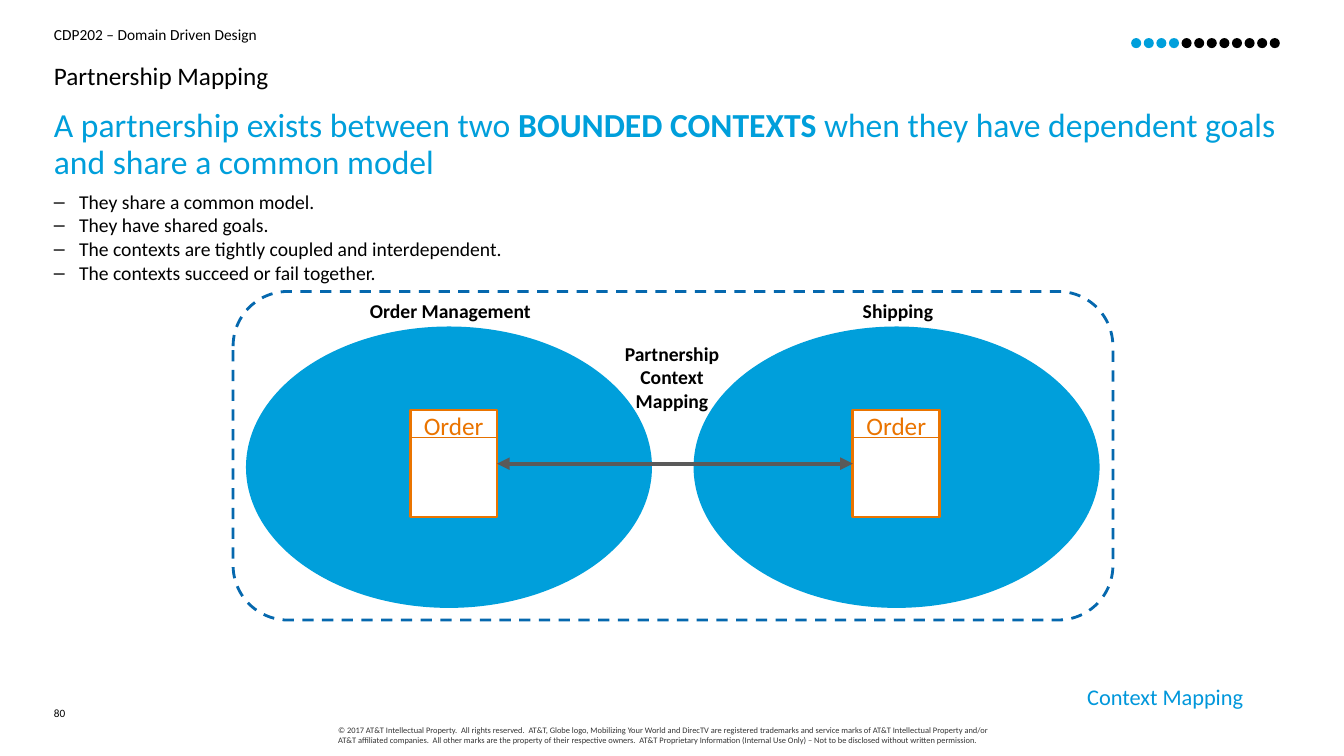
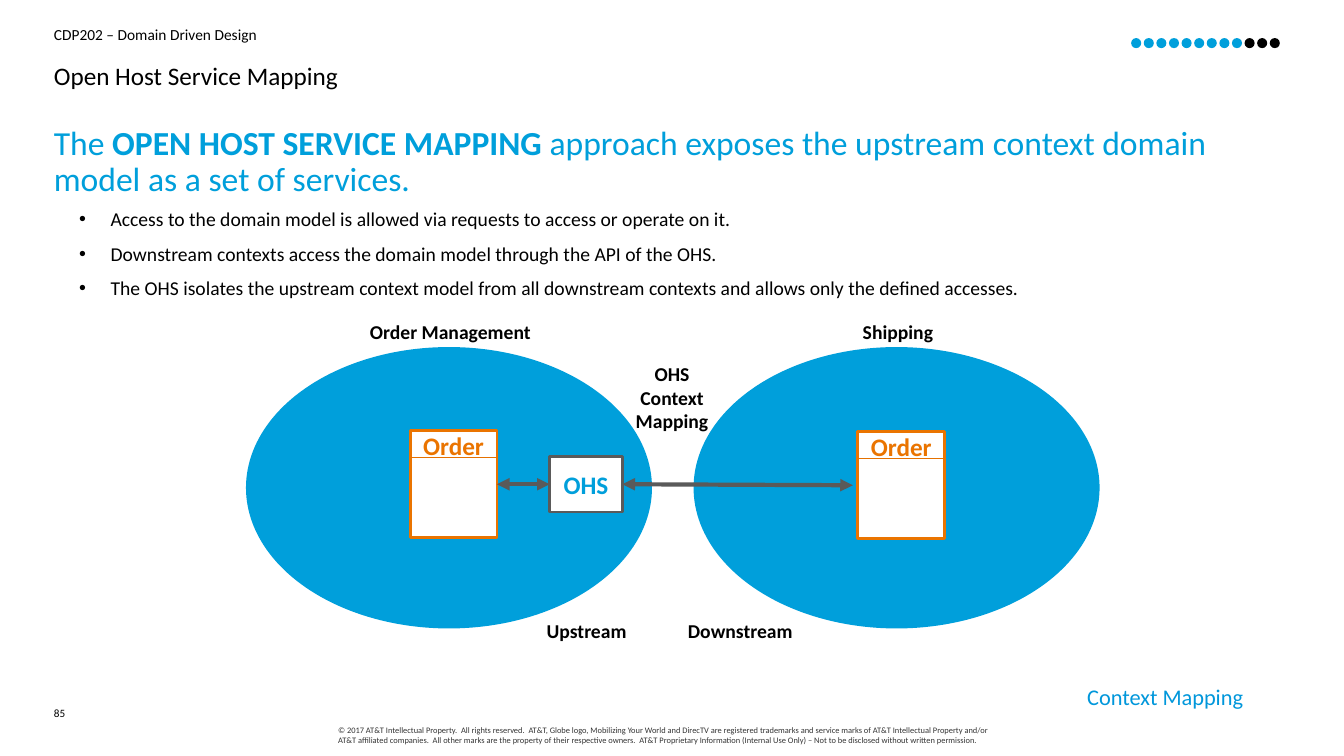
import dataclasses

import pptx
import pptx.dml.color
import pptx.enum.dml
import pptx.enum.shapes
import pptx.enum.text
import pptx.oxml
import pptx.oxml.ns
import pptx.util

Pt = pptx.util.Pt
SHAPE = pptx.enum.shapes.MSO_SHAPE
ALIGN = pptx.enum.text.PP_ALIGN
ANCHOR = pptx.enum.text.MSO_ANCHOR


@dataclasses.dataclass(frozen=True)
class Theme:
    font: str = "Calibri"
    black: str = "000000"
    white: str = "FFFFFF"
    blue: str = "009FDB"
    section_blue: str = "0097DB"
    border_blue: str = "0568AE"
    orange: str = "EA7400"
    divider_orange: str = "E57100"
    grey: str = "5A5A5A"
    legal_grey: str = "343434"
    headline_size: float = 24
    title_size: float = 18
    section_size: float = 16
    body_size: float = 14
    header_size: float = 11
    number_size: float = 8
    legal_size: float = 6


THEME = Theme()
LEFT_MARGIN = 38.5
TEXT_WIDTH = 882.7
DOT_COUNT = 12
CONTEXT_LEFTS = (175.7, 495.4)
CONTEXT_SIZE = (290, 201)
ORDER_LEFTS = (293, 609.2)
ORDER_SIZE = (62, 76.4)
ORDER_DROP = 59.7
ARROW_DROP = 98
ARROW_START = ORDER_LEFTS[0] + ORDER_SIZE[0]
COURSE = "CDP202 – Domain Driven Design"
SECTION = "Context Mapping"
LEGAL = (
    "© 2017 AT&T Intellectual Property.  All rights reserved.  AT&T, Globe logo, "
    "Mobilizing Your World and DirecTV are registered trademarks and service marks of "
    "AT&T Intellectual Property and/or AT&T affiliated companies.  All other marks are "
    "the property of their respective owners.  AT&T Proprietary Information (Internal "
    "Use Only) – Not to be disclosed without written permission."
)


def rgb(color):
    return pptx.dml.color.RGBColor.from_string(color)


def add_span(para, text, size, color, bold=False):
    span = para.add_run()
    span.text = text
    span.font.name = THEME.font
    span.font.size = Pt(size)
    span.font.bold = bold
    span.font.color.rgb = rgb(color)


def prepare_frame(frame, inset=0, anchor=ANCHOR.TOP):
    frame.word_wrap = True
    frame.auto_size = pptx.enum.text.MSO_AUTO_SIZE.NONE
    frame.vertical_anchor = anchor
    frame.margin_left = frame.margin_right = Pt(inset)
    frame.margin_top = frame.margin_bottom = Pt(inset / 2)


def add_text_box(page, left, top, width, height, inset=0):
    box = page.shapes.add_textbox(Pt(left), Pt(top), Pt(width), Pt(height))
    prepare_frame(box.text_frame, inset)
    return box.text_frame


def add_line_of_text(page, left, top, width, height, text, size, color,
                     align=ALIGN.LEFT, inset=0):
    para = add_text_box(page, left, top, width, height, inset).paragraphs[0]
    para.alignment = align
    add_span(para, text, size, color)
    return para


def add_label(page, center, top, lines, width=140):
    frame = add_text_box(page, center - width / 2, top, width, 17 * len(lines))
    for index, line in enumerate(lines):
        para = frame.add_paragraph() if index else frame.paragraphs[0]
        para.alignment = ALIGN.CENTER
        add_span(para, line, THEME.body_size, THEME.black, bold=True)


def add_figure(shapes, kind, left, top, width, height, fill, line=None):
    figure = shapes.add_shape(kind, Pt(left), Pt(top), Pt(width), Pt(height))
    figure.shadow.inherit = False
    figure.fill.solid()
    figure.fill.fore_color.rgb = rgb(fill)
    if line:
        figure.line.color.rgb = rgb(line)
        figure.line.width = Pt(2)
    else:
        figure.line.fill.background()
    return figure


def add_box(shapes, left, top, width, height, line, text, text_color, bold,
            anchor=ANCHOR.TOP):
    box = add_figure(shapes, SHAPE.RECTANGLE, left, top, width, height, THEME.white, line)
    prepare_frame(box.text_frame, anchor=anchor)
    para = box.text_frame.paragraphs[0]
    para.alignment = ALIGN.CENTER
    add_span(para, text, THEME.title_size, text_color, bold)


def add_line(shapes, start, end, color, width, arrows=False):
    line = shapes.add_connector(
        pptx.enum.shapes.MSO_CONNECTOR.STRAIGHT, *(Pt(value) for value in start + end))
    line.line.color.rgb = rgb(color)
    line.line.width = Pt(width)
    properties = line._element.spPr
    if arrows:
        stroke = properties.find(pptx.oxml.ns.qn("a:ln"))
        for tag in ("a:headEnd", "a:tailEnd"):
            tip = pptx.oxml.xmlchemy.OxmlElement(tag)
            tip.set("type", "triangle")
            stroke.append(tip)
    properties.append(pptx.oxml.xmlchemy.OxmlElement("a:effectLst"))


def add_arrow(page, start, end):
    add_line(page.shapes, start, end, THEME.grey, 3, arrows=True)


def add_order(page, left, top, bold):
    group = page.shapes.add_group_shape()
    add_box(group.shapes, left, top, *ORDER_SIZE, THEME.orange, "Order", THEME.orange, bold)
    divider = top + 19.4
    add_line(group.shapes, (left + 0.5, divider), (left + ORDER_SIZE[0], divider),
             THEME.divider_orange, 0.75)


def add_contexts(page, top, mapping_lines):
    for left, name in zip(CONTEXT_LEFTS, ("Order Management", "Shipping")):
        add_figure(page.shapes, SHAPE.OVAL, left, top, *CONTEXT_SIZE, THEME.blue)
        add_label(page, left + CONTEXT_SIZE[0] / 2 + 1, top - 19.4, [name])
    add_label(page, 480, top + 10.8, mapping_lines)


def set_bullet(para, symbol, left, hanging):
    properties = para._p.get_or_add_pPr()
    properties.set("marL", str(Pt(left)))
    properties.set("indent", str(-Pt(hanging)))
    namespace = pptx.oxml.ns.nsdecls("a")
    for xml in (
        f'<a:buClr {namespace}><a:srgbClr val="{THEME.black}"/></a:buClr>',
        f'<a:buFont {namespace} typeface="Arial"/>',
        f'<a:buChar {namespace} char="{symbol}"/>',
    ):
        properties.append(pptx.oxml.parse_xml(xml))


def add_body(page, top, headline, bullets, symbol, left, hanging, gap):
    frame = add_text_box(page, LEFT_MARGIN, top, TEXT_WIDTH, 200)
    para = frame.paragraphs[0]
    para.line_spacing = 0.9
    para.space_after = Pt(6)
    for text, bold in headline:
        add_span(para, text, THEME.headline_size, THEME.blue, bold)
    for text in bullets:
        para = frame.add_paragraph()
        set_bullet(para, symbol, left, hanging)
        para.space_after = Pt(gap)
        add_span(para, text, THEME.body_size, THEME.black)


def set_title(page, text):
    title = page.shapes.title
    title.left, title.top = Pt(LEFT_MARGIN), Pt(41)
    title.width, title.height = Pt(TEXT_WIDTH), Pt(26.6)
    prepare_frame(title.text_frame)
    para = title.text_frame.paragraphs[0]
    para.alignment = ALIGN.LEFT
    para.line_spacing = 1.1
    add_span(para, text, THEME.title_size, THEME.black)


def add_progress(page, done):
    for index in range(DOT_COUNT):
        color = THEME.blue if index < done else THEME.black
        add_figure(page.shapes, SHAPE.OVAL, 808 + 9 * index, 27.2, 7.2, 7.2, color)


def add_page(deck, title, number, done):
    page = deck.slides.add_slide(deck.slide_layouts[5])
    set_title(page, title)
    add_line_of_text(page, LEFT_MARGIN, 18, TEXT_WIDTH, 14.4, COURSE,
                     THEME.header_size, THEME.black)
    add_line_of_text(page, 241.5, 517.7, 478, 17.3, LEGAL,
                     THEME.legal_size, THEME.legal_grey)
    para = add_line_of_text(page, LEFT_MARGIN, 504, 23, 18, number,
                            THEME.number_size, THEME.black)
    para.line_spacing = Pt(10)
    add_line_of_text(page, 745.2, 484.6, 150, 26.6, SECTION, THEME.section_size,
                     THEME.section_blue, ALIGN.RIGHT, inset=7.2)
    add_progress(page, done)
    return page


def build_partnership(deck):
    page = add_page(deck, "Partnership Mapping", "80", 4)
    border = add_figure(page.shapes, SHAPE.ROUNDED_RECTANGLE, 166.5, 208.2, 628.5, 234.7,
                        THEME.white, THEME.border_blue)
    border.line.dash_style = pptx.enum.dml.MSO_LINE.DASH
    add_body(
        page, 77.8,
        [("A partnership exists between two ", False),
         ("BOUNDED CONTEXTS ", True),
         ("when they have dependent goals and share a common model", False)],
        ["They share a common model.",
         "They have shared goals.",
         "The contexts are tightly coupled and interdependent.",
         "The contexts succeed or fail together."],
        "–", left=18, hanging=18, gap=0)
    top = 233.2
    add_contexts(page, top, ["Partnership", "Context", "Mapping"])
    for left in ORDER_LEFTS:
        add_order(page, left, top + ORDER_DROP, bold=False)
    level = top + ARROW_DROP
    add_arrow(page, (ARROW_START, level), (ORDER_LEFTS[1], level))


def build_open_host(deck):
    page = add_page(deck, "Open Host Service Mapping", "85", 9)
    add_body(
        page, 90,
        [("The ", False),
         ("OPEN HOST SERVICE MAPPING ", True),
         ("approach exposes the upstream context domain model as a set of services.", False)],
        ["Access to the domain model is allowed via requests to access or operate on it.",
         "Downstream contexts access the domain model through the API of the OHS.",
         "The OHS isolates the upstream context model from all downstream contexts "
         "and allows only the defined accesses."],
        "•", left=40.5, hanging=22.5, gap=8)
    top = 247.9
    add_contexts(page, top, ["OHS", "Context", "Mapping"])
    add_label(page, 419, top + 194.2, ["Upstream"])
    add_label(page, 528.8, top + 194.2, ["Downstream"])
    add_order(page, ORDER_LEFTS[0], top + ORDER_DROP, bold=True)
    add_order(page, ORDER_LEFTS[1] + 3.6, top + ORDER_DROP + 0.7, bold=True)
    level = top + ARROW_DROP
    host_left, host_width, host_height = 392.6, 52, 39.6
    add_arrow(page, (ARROW_START, level), (host_left, level))
    add_arrow(page, (host_left + host_width, level), (ORDER_LEFTS[1], level + 0.7))
    add_box(page.shapes, host_left, level - host_height / 2, host_width, host_height,
            THEME.grey, "OHS", THEME.blue, bold=True, anchor=ANCHOR.MIDDLE)


def main():
    deck = pptx.Presentation()
    deck.slide_width, deck.slide_height = Pt(960), Pt(540)
    build_partnership(deck)
    build_open_host(deck)
    deck.save("out.pptx")


if __name__ == "__main__":
    main()
